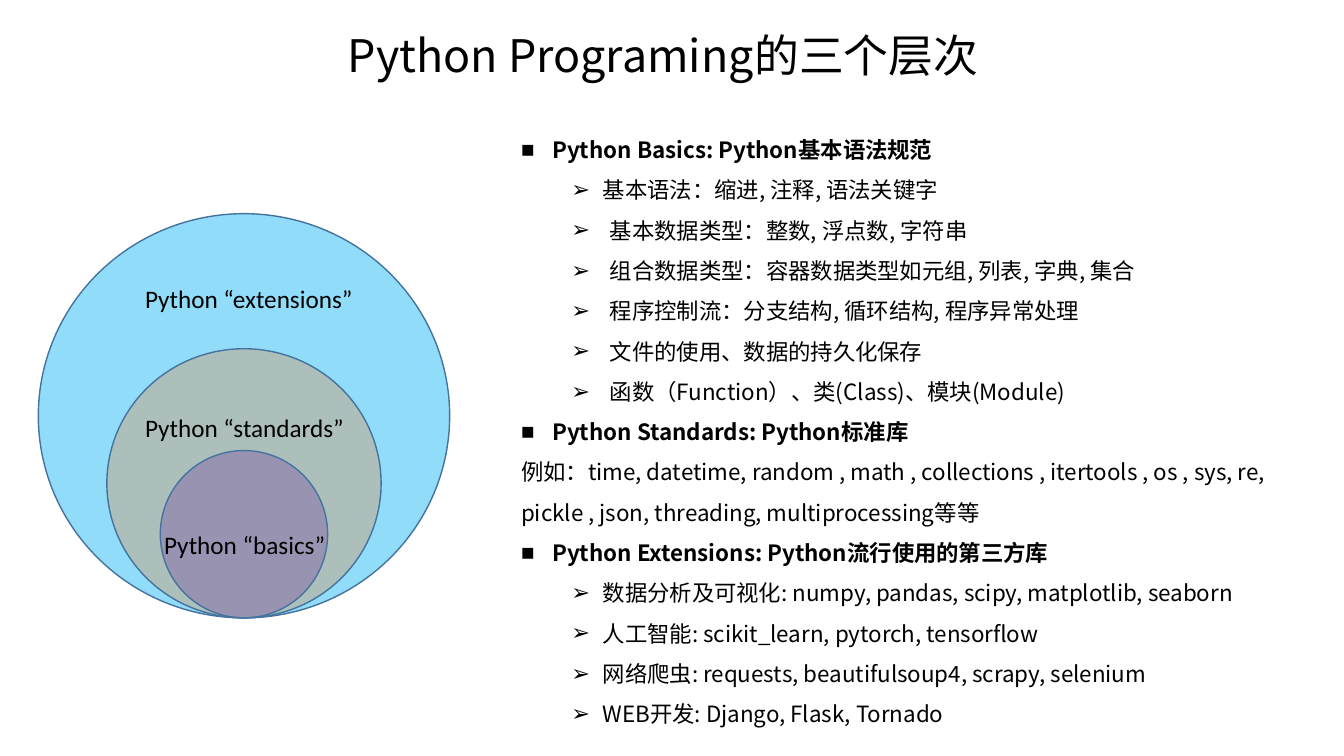
from pptx import Presentation
from pptx.dml.color import RGBColor
from pptx.enum.shapes import MSO_SHAPE
from pptx.enum.text import MSO_ANCHOR, PP_ALIGN
from pptx.oxml.ns import qn
from pptx.util import Inches, Pt
from lxml import etree

CJK = "Noto Sans CJK SC"


def rgb(value):
    return RGBColor.from_string(value)


def style_run(r, size, font, bold=False):
    r.font.size = Pt(size)
    r.font.name = font
    r.font.bold = bold
    r.font.color.rgb = rgb("000000")
    etree.SubElement(r._r.get_or_add_rPr(), qn("a:ea")).set("typeface", font)


prs = Presentation()
prs.slide_width, prs.slide_height = Inches(13.33), Inches(7.5)
s = prs.slides.add_slide(prs.slide_layouts[5])

# Title
title = s.shapes.title
title.left, title.top = Inches(3.35), Inches(0.22)
title.width, title.height = Inches(6.64), Inches(0.64)
tf = title.text_frame
tf.text = "Python Programing的三个层次"
tf.word_wrap = False
tf.vertical_anchor = MSO_ANCHOR.TOP
p = tf.paragraphs[0]
p.alignment = PP_ALIGN.LEFT
style_run(p.runs[0], 32, CJK)

# Nested circles, all resting on the same bottom point
CENTER_X, BOTTOM = 2.42, 6.13
circles = [
    (4.08, 4.01, "00B0F0", 43),
    (2.72, 2.67, "ED7D31", 30),
    (1.66, 1.66, "7030A0", 30),
]
for width, height, color, opacity in circles:
    sp = s.shapes.add_shape(
        MSO_SHAPE.OVAL, Inches(CENTER_X - width / 2), Inches(BOTTOM - height),
        Inches(width), Inches(height))
    sp.shadow.inherit = False
    sp.fill.solid()
    sp.fill.fore_color.rgb = rgb(color)
    clr = sp._element.spPr.find(qn("a:solidFill")).find(qn("a:srgbClr"))
    etree.SubElement(clr, qn("a:alpha")).set("val", str(opacity * 1000))
    sp.line.color.rgb = rgb("43739E")
    sp.line.width = Pt(1)

# Circle labels
labels = [
    ("Python “basics”", 1.53, 5.2, 1.86),
    ("Python “standards”", 1.34, 4.04, 2.26),
    ("Python “extensions”", 1.34, 2.76, 2.34),
]
for text, left, top, width in labels:
    label = s.shapes.add_textbox(Inches(left), Inches(top), Inches(width), Inches(0.4))
    label.text_frame.text = text
    label.text_frame.word_wrap = False
    style_run(label.text_frame.paragraphs[0].runs[0], 18, "Calibri")

# Outline: kind -> (level, left margin, hanging indent, bullet)
kinds = {
    "head": (0, 0.31, 0.31, "■"),
    "item": (1, 0.81, 0.31, "➢"),
    "wide": (1, 0.88, 0.38, "➢"),
    "plain": (0, 0, 0, None),
}
outline = [
    ("head", "Python Basics: Python基本语法规范"),
    ("item", "基本语法：缩进, 注释, 语法关键字"),
    ("wide", "基本数据类型：整数, 浮点数, 字符串"),
    ("wide", "组合数据类型：容器数据类型如元组, 列表, 字典, 集合"),
    ("wide", "程序控制流：分支结构, 循环结构, 程序异常处理"),
    ("wide", "文件的使用、数据的持久化保存"),
    ("wide", "函数（Function）、类(Class)、模块(Module)"),
    ("head", "Python Standards: Python标准库"),
    ("plain", "例如：time, datetime, random , math , collections , itertools , os , sys, re, "
              "pickle , json, threading, multiprocessing等等"),
    ("head", "Python Extensions: Python流行使用的第三方库"),
    ("item", "数据分析及可视化: numpy, pandas, scipy, matplotlib, seaborn"),
    ("item", "人工智能: scikit_learn, pytorch, tensorflow"),
    ("item", "网络爬虫: requests, beautifulsoup4, scrapy, selenium"),
    ("item", "WEB开发: Django, Flask, Tornado"),
]
body = s.shapes.add_textbox(Inches(5.07), Inches(1.17), Inches(8.1), Inches(6.11))
tf = body.text_frame
tf.word_wrap = True
for i, (kind, text) in enumerate(outline):
    level, margin, hanging, bullet = kinds[kind]
    p = tf.paragraphs[0] if i == 0 else tf.add_paragraph()
    p.text = text
    p.level = level
    p.line_spacing = 1.5
    style_run(p.runs[0], 16, CJK, kind == "head")
    pPr = p._p.get_or_add_pPr()
    pPr.set("marL", str(Inches(margin)))
    pPr.set("indent", str(-Inches(hanging)))
    if bullet:
        etree.SubElement(pPr, qn("a:buFont")).set("typeface", "Arial")
        etree.SubElement(pPr, qn("a:buChar")).set("char", bullet)

prs.save("out.pptx")
